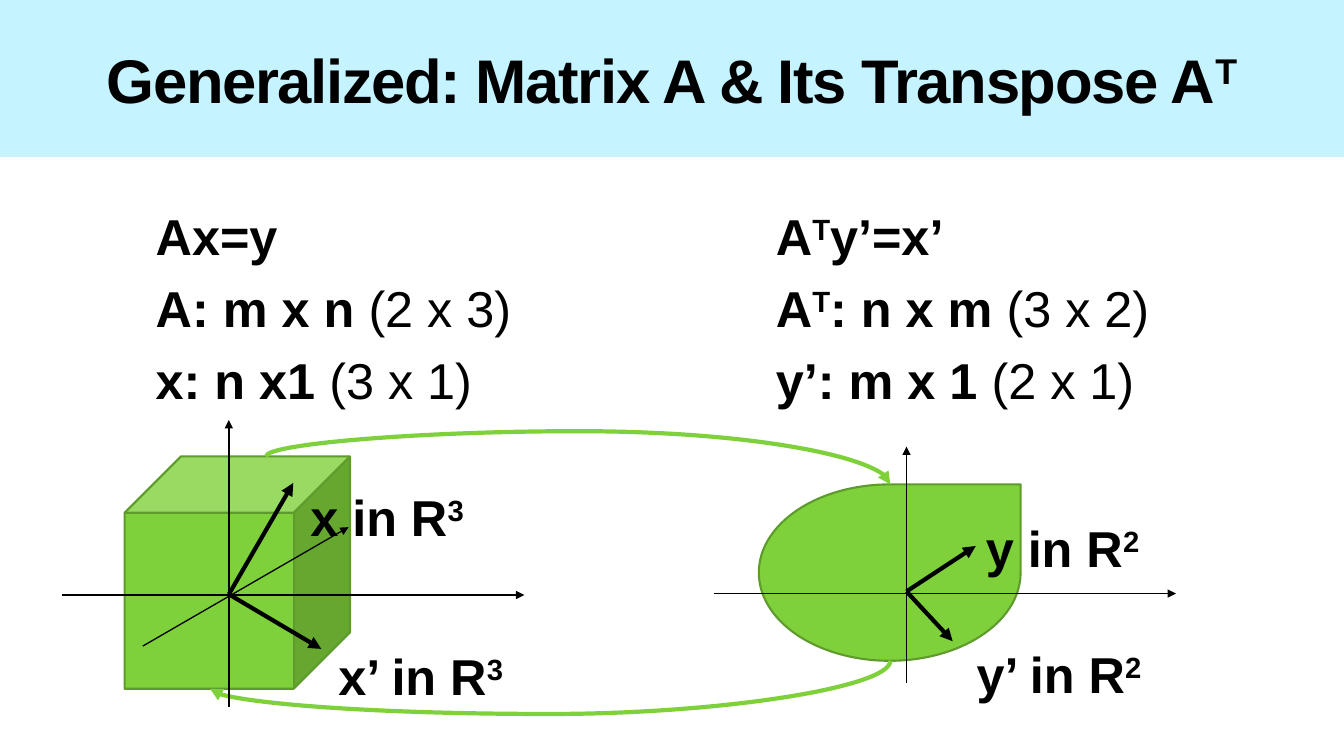
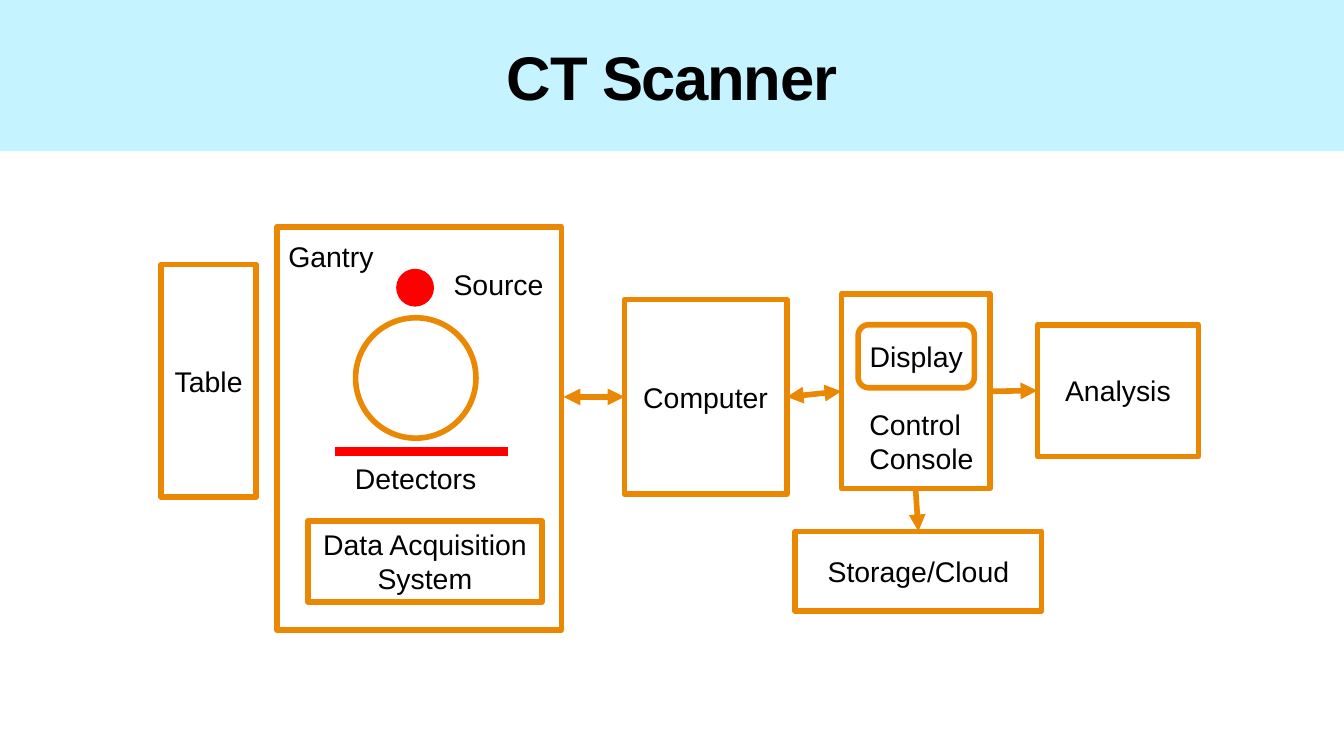
from dataclasses import dataclass

from lxml.etree import SubElement
from pptx import Presentation
from pptx.dml.color import RGBColor as RGB
from pptx.enum.shapes import MSO_CONNECTOR as LINK, MSO_SHAPE as SHAPE
from pptx.enum.text import MSO_ANCHOR as ANCHOR, PP_ALIGN as ALIGN
from pptx.oxml.ns import qn
from pptx.util import Pt

TOP, LEFT, BOTTOM, RIGHT = range(4)
SUPER, PLAIN = "super", "plain"


@dataclass(frozen=True)
class Theme:
    font: str = "Arial"
    ink: RGB = RGB(0x00, 0x00, 0x00)
    band: RGB = RGB(0xC5, 0xF3, 0xFF)
    green: RGB = RGB(0x7F, 0xD1, 0x3B)
    dark_green: RGB = RGB(0x5E, 0x9B, 0x2C)
    orange: RGB = RGB(0xEB, 0x88, 0x03)
    red: RGB = RGB(0xFF, 0x00, 0x00)
    title_size: float = 44
    math_size: float = 36
    label_size: float = 20.3
    thin: float = 0.94
    bold_line: float = 3
    box_line: float = 4


THEME = Theme()


def set_all(target, formats):
    for name, value in formats.items():
        setattr(target, name, value)


def write(shape, lines, size, bold=False, align=ALIGN.CENTER, gap=0,
          inset=(0, 0), anchor=ANCHOR.MIDDLE, wrap=True, tracking=0):
    """Write lines, each a list of strings or (string, SUPER | PLAIN) pairs."""
    frame = shape.text_frame
    across, down = map(Pt, inset)
    set_all(frame, {"word_wrap": wrap, "vertical_anchor": anchor,
                    "margin_left": across, "margin_right": across,
                    "margin_top": down, "margin_bottom": down})
    for index, pieces in enumerate(lines):
        paragraph = frame.add_paragraph() if index else frame.paragraphs[0]
        set_all(paragraph, {"alignment": align, "space_before": Pt(gap if index else 0)})
        for piece in pieces:
            text, mark = (piece, None) if isinstance(piece, str) else piece
            run = paragraph.add_run()
            run.text = text
            set_all(run.font, {"name": THEME.font, "size": Pt(size),
                               "bold": bold and mark != PLAIN})
            run.font.color.rgb = THEME.ink
            properties = run._r.get_or_add_rPr()
            if mark == SUPER:
                properties.set("baseline", "30000")
            if tracking:
                properties.set("spc", str(tracking * 100))


def add_figure(slide, kind, box, fill=None, outline=None, weight=THEME.box_line):
    figure = slide.shapes.add_shape(kind, *map(Pt, box))
    figure.shadow.inherit = False
    if fill is None:
        figure.fill.background()
    else:
        figure.fill.solid()
        figure.fill.fore_color.rgb = fill
    if outline is None:
        figure.line.fill.background()
    else:
        figure.line.color.rgb = outline
        figure.line.width = Pt(weight)
    return figure


def add_title(slide, pieces, band_height):
    band = add_figure(slide, SHAPE.RECTANGLE, (0, 0, 960, band_height), THEME.band)
    write(band, [pieces], THEME.title_size, bold=True, tracking=-1, inset=(7.2, 3.6))


def add_math(slide, box, lines):
    text = slide.shapes.add_textbox(*map(Pt, box))
    write(text, lines, THEME.math_size, bold=True, align=ALIGN.LEFT, gap=8.3,
          inset=(12.2, 3.6), anchor=ANCHOR.TOP)


def add_label(slide, box, *lines):
    text = slide.shapes.add_textbox(*map(Pt, box))
    write(text, [[line] for line in lines], THEME.label_size, align=ALIGN.LEFT,
          inset=(8, 3.6), anchor=ANCHOR.TOP, wrap=False)


def add_block(slide, box, *lines, kind=SHAPE.RECTANGLE):
    block = add_figure(slide, kind, box, outline=THEME.orange)
    if lines:
        write(block, [[line] for line in lines], THEME.label_size)
    return block


def add_line(slide, start, end, color, weight, arrows=("tailEnd",), kind=LINK.STRAIGHT):
    line = slide.shapes.add_connector(kind, *map(Pt, (*start, *end)))
    line.line.color.rgb = color
    line.line.width = Pt(weight)
    for arrow in arrows:
        SubElement(line.line._get_or_add_ln(), qn(f"a:{arrow}"), type="triangle")
    SubElement(line._element.spPr, qn("a:effectLst"))
    return line


def add_map_arc(slide, start, end, bend):
    """Draw a curve that leaves and arrives vertically, turning at height bend.

    The curve runs horizontally by default, so its frame is turned a quarter.
    """
    (x1, y1), (x2, y2) = start, end
    width, height = abs(y2 - y1), abs(x2 - x1)
    arc = add_line(slide, start, end, THEME.green, THEME.bold_line, kind=LINK.CURVE)
    set_all(arc, {"left": Pt((x1 + x2 - width) / 2), "top": Pt((y1 + y2 - height) / 2),
                  "width": Pt(width), "height": Pt(height)})
    frame = arc._element.spPr.find(qn("a:xfrm"))
    rightward = x2 > x1
    frame.set("rot", str((270 if rightward else 90) * 60000))
    frame.set("flipH", "1" if rightward else "0")
    geometry = arc._element.spPr.find(qn("a:prstGeom"))
    guides = geometry.find(qn("a:avLst"))
    if guides is None:
        guides = SubElement(geometry, qn("a:avLst"))
    ratio = round((bend - y1) / (y2 - y1) * 100000)
    SubElement(guides, qn("a:gd"), name="adj1", fmla=f"val {ratio}")


def link(slide, source, target, source_side, target_side, both=False):
    arrows = ("headEnd", "tailEnd") if both else ("tailEnd",)
    joint = add_line(slide, (0, 0), (0, 0), THEME.orange, THEME.box_line, arrows)
    joint.begin_connect(source, source_side)
    joint.end_connect(target, target_side)


def build_transpose(slide):
    add_title(slide, ["Generalized: Matrix A & Its Transpose A", ("T", SUPER)], 112)
    add_math(slide, (99, 143, 331, 150), [
        ["Ax=y"],
        ["A: m x n ", ("(2 x 3)", PLAIN)],
        ["x: n x1 ", ("(3 x 1)", PLAIN)],
    ])
    add_math(slide, (542, 143, 331, 150), [
        ["A", ("T", SUPER), "y’=x’"],
        ["A", ("T", SUPER), ": n x m ", ("(3 x 2)", PLAIN)],
        ["y’: m x 1 ", ("(2 x 1)", PLAIN)],
    ])
    for kind, box in ((SHAPE.CUBE, (89, 326, 161, 166)),
                      (SHAPE.TEAR, (542, 346, 187, 126))):
        add_figure(slide, kind, box, THEME.green, THEME.dark_green, 1.5)
    add_map_arc(slide, (190, 326), (636, 346), 308)
    add_map_arc(slide, (636, 472), (150, 492), 510)

    axes = [
        ((44.5, 425), (374.5, 425)), ((163.5, 505), (163.5, 300)),
        ((102, 461.5), (249, 376.5)),
        ((510, 424), (840, 424)), ((647.5, 488), (647.5, 319)),
    ]
    for start, end in axes:
        add_line(slide, start, end, THEME.ink, THEME.thin)

    space, plane = (163.5, 424.5), (647.5, 422.5)
    vectors = [
        ("x", "3", space, (209.5, 345), (209.5, 344)),
        ("x’", "3", space, (229.5, 463.5), (229.5, 457.5)),
        ("y", "2", plane, (697, 390), (692, 366)),
        ("y’", "2", plane, (680.5, 458), (685.5, 456)),
    ]
    for name, dimension, origin, tip, corner in vectors:
        add_line(slide, origin, tip, THEME.ink, THEME.bold_line)
        add_math(slide, (*corner, 150, 50), [[f"{name} in R", (dimension, SUPER)]])


def build_scanner(slide):
    add_title(slide, ["CT Scanner"], 108)
    add_block(slide, (115, 189, 68, 166), "Table")

    add_block(slide, (198, 162, 203, 288))
    add_block(slide, (254, 227, 86, 86), kind=SHAPE.OVAL)
    add_figure(slide, SHAPE.OVAL, (285, 194, 23, 23), THEME.red, THEME.red)
    add_line(slide, (239, 322.5), (363, 322.5), THEME.red, 6, arrows=())
    add_block(slide, (220, 372, 167, 58), "Data Acquisition", "System")
    add_label(slide, (198, 167, 78, 32), "Gantry")
    add_label(slide, (316, 187, 81, 32), "Source")
    add_label(slide, (245.5, 326, 104, 32), "Detectors")

    computer = add_block(slide, (446, 214, 116, 139), "Computer")
    console = add_block(slide, (601, 210, 106, 139))
    add_block(slide, (613, 232, 83, 45), "Display", kind=SHAPE.ROUNDED_RECTANGLE)
    add_label(slide, (613, 287, 91, 56), "Control", "Console")
    storage = add_block(slide, (568, 379.5, 176, 57), "Storage/Cloud")
    analysis = add_block(slide, (741, 232, 115, 94), "Analysis")

    gantry_link = add_line(slide, (402.5, 283.5), (446, 283.5), THEME.orange,
                           THEME.box_line, ("headEnd", "tailEnd"))
    gantry_link.end_connect(computer, LEFT)
    link(slide, computer, console, RIGHT, LEFT, both=True)
    link(slide, console, analysis, RIGHT, LEFT)
    link(slide, console, storage, BOTTOM, TOP)


def main():
    deck = Presentation()
    set_all(deck, {"slide_width": Pt(960), "slide_height": Pt(540)})
    blank = deck.slide_layouts[6]
    for build in (build_transpose, build_scanner):
        build(deck.slides.add_slide(blank))
    deck.save("out.pptx")


if __name__ == "__main__":
    main()
